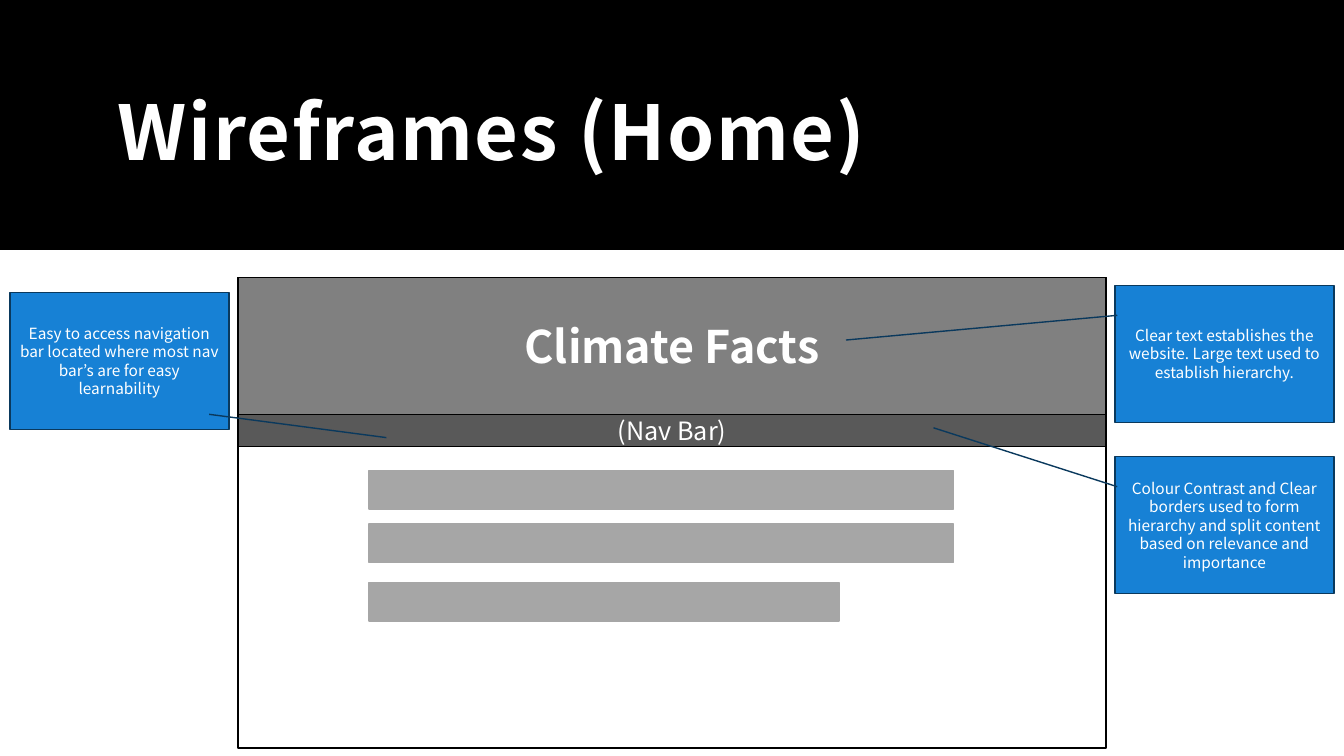
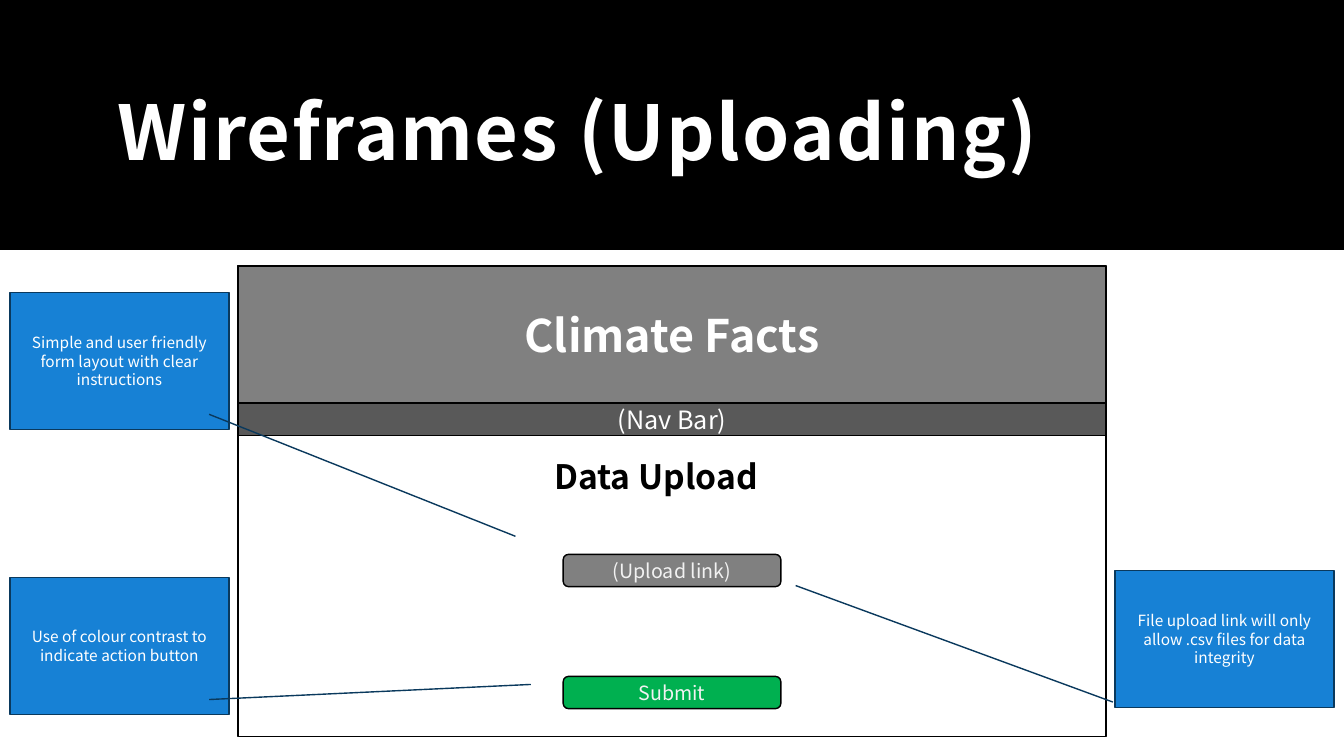
from dataclasses import dataclass

from pptx import Presentation
from pptx.dml.color import RGBColor
from pptx.enum.shapes import MSO_SHAPE
from pptx.enum.text import MSO_ANCHOR, PP_ALIGN
from pptx.util import Inches, Pt

RECTANGLE = MSO_SHAPE.RECTANGLE
ROUNDED = MSO_SHAPE.ROUNDED_RECTANGLE
PROCESS = MSO_SHAPE.FLOWCHART_PROCESS
CALLOUT = MSO_SHAPE.LINE_CALLOUT_1
MIDDLE, TOP = MSO_ANCHOR.MIDDLE, MSO_ANCHOR.TOP
LEFT, CENTER = PP_ALIGN.LEFT, PP_ALIGN.CENTER


@dataclass(frozen=True)
class Theme:
    font: str = "Noto Sans CJK JP"
    black: str = "000000"
    white: str = "FFFFFF"
    header: str = "808080"
    nav: str = "595959"
    placeholder: str = "A6A6A6"
    button_text: str = "F2F2F2"
    submit: str = "00B050"
    note: str = "1781D5"
    note_line: str = "0A395D"
    title_size: int = 54
    site_size: int = 32
    heading_size: int = 24
    nav_size: int = 18
    button_size: int = 14
    note_size: int = 11
    title_spacing: int = 120  # hundredths of a point


THEME = Theme()
SLIDE_WIDTH, SLIDE_HEIGHT = Inches(13.33), Inches(7.5)

# Shared layout, in percent of the slide's width or height
BAND_HEIGHT = 33.07
FRAME_WIDTH, FRAME_HEIGHT = 64.6, 62.27
FRAME_LEFT = (100 - FRAME_WIDTH) / 2
HEADER_HEIGHT, BAR_HEIGHT = 18.13, 4.27
NOTE_WIDTH, NOTE_HEIGHT = 16.28, 18.13
NOTE_LEFT = 0.75
NOTE_RIGHT = 100 - NOTE_LEFT - NOTE_WIDTH
BUTTON_WIDTH = 16.2


def place(left, top, width, height):
    """Turn shares of the slide into lengths."""
    return (int(SLIDE_WIDTH * left / 100), int(SLIDE_HEIGHT * top / 100),
            int(SLIDE_WIDTH * width / 100), int(SLIDE_HEIGHT * height / 100))


def write(shape, text, size, color, bold=False, align=CENTER, anchor=MIDDLE):
    frame = shape.text_frame
    frame.text = text
    frame.word_wrap = True
    frame.vertical_anchor = anchor
    paragraph = frame.paragraphs[0]
    paragraph.alignment = align
    font = paragraph.runs[0].font
    font.name, font.size, font.bold = THEME.font, Pt(size), bold
    font.color.rgb = RGBColor.from_string(color)


def add_box(slide, kind, area, fill, line):
    shape = slide.shapes.add_shape(kind, *place(*area))
    shape.shadow.inherit = False
    shape.fill.solid()
    shape.fill.fore_color.rgb = RGBColor.from_string(fill)
    shape.line.color.rgb = RGBColor.from_string(line)
    shape.line.width = Pt(1)
    return shape


def add_text(slide, area, text, size, color, anchor):
    box = slide.shapes.add_textbox(*place(*area))
    write(box, text, size, color, bold=True, align=LEFT, anchor=anchor)
    return box


def add_title_slide(presentation, title):
    """Start a slide with the black title band."""
    slide = presentation.slides.add_slide(presentation.slide_layouts[6])
    band = add_box(slide, RECTANGLE, (0, 0, 100, BAND_HEIGHT), THEME.black, THEME.black)
    band.line.fill.background()
    box = add_text(slide, (7.88, 4.67, 84.25, 24.8), title,
                   THEME.title_size, THEME.white, MIDDLE)
    frame = box.text_frame
    frame.margin_left = frame.margin_right = frame.margin_top = Inches(0.12)
    frame.margin_bottom = Inches(0.1)
    properties = frame.paragraphs[0].runs[0].font._element
    properties.set("spc", str(THEME.title_spacing))
    return slide


def add_wireframe(slide, top):
    """Draw the page outline with its header and navigation bar."""
    def add_row(row_top, height, fill):
        return add_box(slide, RECTANGLE, (FRAME_LEFT, row_top, FRAME_WIDTH, height),
                       fill, THEME.black)

    add_row(top, FRAME_HEIGHT, THEME.white)
    header = add_row(top, HEADER_HEIGHT, THEME.header)
    write(header, "Climate Facts", THEME.site_size, THEME.white, bold=True)
    nav = add_row(top + HEADER_HEIGHT, BAR_HEIGHT, THEME.nav)
    write(nav, "(Nav Bar)", THEME.nav_size, THEME.white)


def add_button(slide, top, text, fill):
    area = ((100 - BUTTON_WIDTH) / 2, top, BUTTON_WIDTH, BAR_HEIGHT)
    button = add_box(slide, ROUNDED, area, fill, THEME.black)
    write(button, text, THEME.button_size, THEME.button_text)


def add_note(slide, left, top, text, start, end):
    """Add a callout; its leader's ends are (y, x) shares of the callout."""
    note = add_box(slide, CALLOUT, (left, top, NOTE_WIDTH, NOTE_HEIGHT),
                   THEME.note, THEME.note_line)
    for index, share in enumerate(start + end):
        note.adjustments[index] = share
    write(note, text, THEME.note_size, THEME.white)


def build_home(presentation):
    slide = add_title_slide(presentation, "Wireframes (Home)")
    add_wireframe(slide, 36.67)
    # Placeholder lines of content
    for top, width in ((62.27, 43.5), (69.33, 43.5), (77.07, 34.96)):
        add_box(slide, PROCESS, (27.46, top, width, 5.07),
                THEME.placeholder, THEME.placeholder)
    # Notes
    notes = (
        (NOTE_RIGHT, 37.73, "Clear text establishes the website. Large text used to "
         "establish hierarchy.", (0.22, 0.01), (0.4, -1.23)),
        (NOTE_LEFT, 38.67, "Easy to access navigation bar located where most nav bar’s "
         "are for easy learnability", (0.89, 0.91), (1.06, 1.72)),
        (NOTE_RIGHT, 60.4, "Colour Contrast and Clear borders used to form hierarchy and "
         "split content based on relevance and importance", (0.22, 0.01), (-0.21, -0.83)),
    )
    for note in notes:
        add_note(slide, *note)


def build_uploading(presentation):
    slide = add_title_slide(presentation, "Wireframes (Uploading)")
    add_wireframe(slide, 35.2)
    # Upload form
    add_text(slide, (40.51, 59.6, 18.98, 6.67), "Data Upload",
             THEME.heading_size, THEME.black, TOP)
    add_button(slide, 73.33, "(Upload link)", THEME.header)
    add_button(slide, 89.47, "Submit", THEME.submit)
    # Notes
    notes = (
        (NOTE_LEFT, 38.67, "Simple and user friendly form layout with clear instructions",
         (0.89, 0.91), (1.78, 2.31)),
        (NOTE_LEFT, 76.4, "Use of colour contrast to indicate action button",
         (0.89, 0.91), (0.78, 2.38)),
        (NOTE_RIGHT, 75.47, "File upload link will only allow .csv files for data integrity",
         (0.96, -0.01), (0.11, -1.46)),
    )
    for note in notes:
        add_note(slide, *note)


def main():
    presentation = Presentation()
    presentation.slide_width, presentation.slide_height = SLIDE_WIDTH, SLIDE_HEIGHT
    build_home(presentation)
    build_uploading(presentation)
    presentation.save("out.pptx")


if __name__ == "__main__":
    main()
